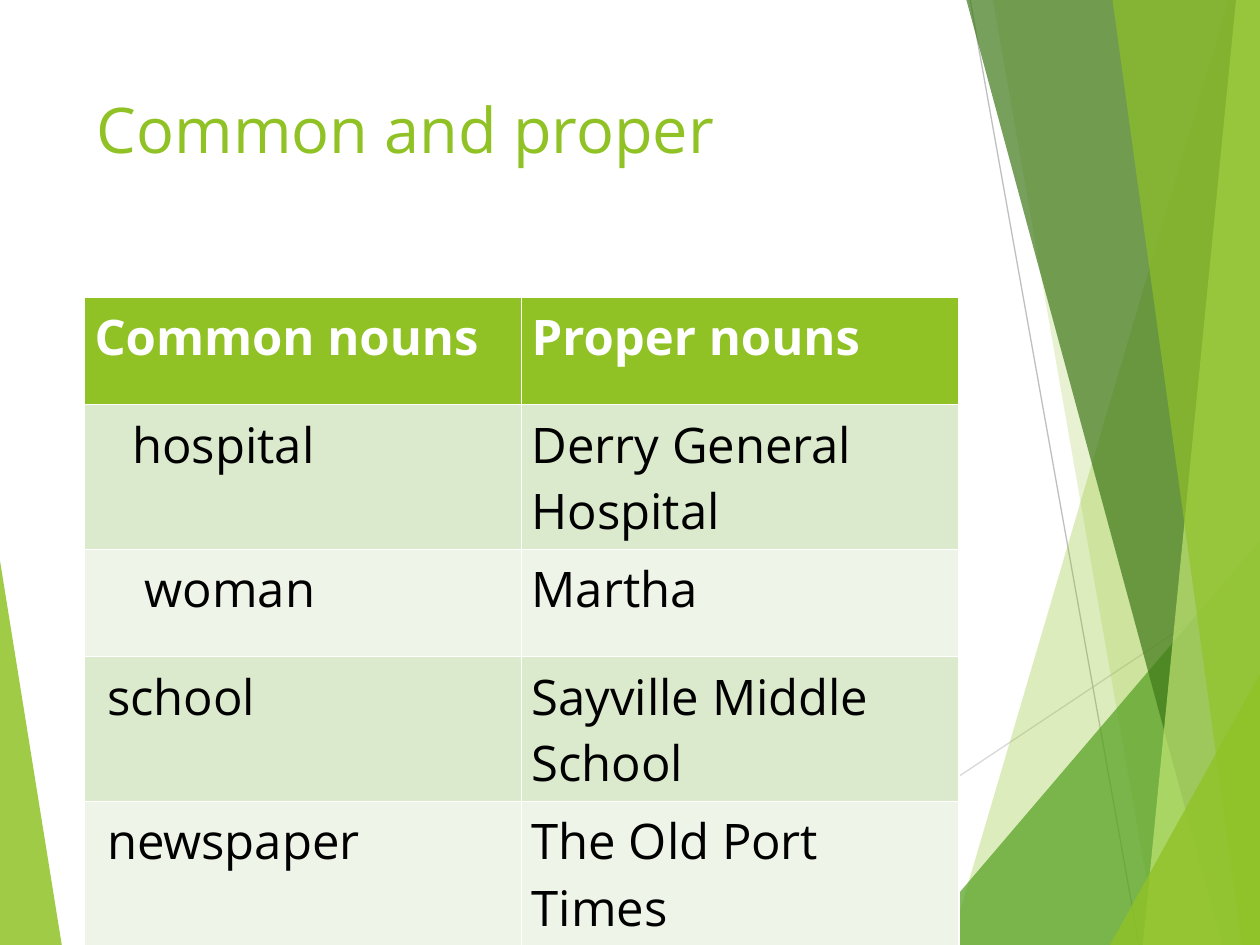
import pptx
import pptx.dml.color
import pptx.enum.shapes
import pptx.enum.text
import pptx.oxml.ns
import pptx.util
from lxml import etree

Inches = pptx.util.Inches
Pt = pptx.util.Pt
RGBColor = pptx.dml.color.RGBColor

LIME = RGBColor(0x90, 0xC2, 0x26)
GREEN = RGBColor(0x54, 0xA0, 0x21)
DARK_GREEN = RGBColor(0x3F, 0x78, 0x19)
PALE_LIME = RGBColor(0xC0, 0xE4, 0x74)
LIGHT_GRAY = RGBColor(0xD9, 0xD9, 0xD9)
GRAY = RGBColor(0xBF, 0xBF, 0xBF)
WHITE = RGBColor(0xFF, 0xFF, 0xFF)
BLACK = RGBColor(0, 0, 0)
ROW_TINTS = (RGBColor(0xDB, 0xE9, 0xCD), RGBColor(0xEE, 0xF4, 0xE8))

TITLE_FONT = {"name": "Open Sans", "size": Pt(36), "bold": False}
HEADER_FONT = {"name": "Open Sans", "size": Pt(28), "bold": True}
BODY_FONT = {**HEADER_FONT, "bold": False}
CELL_MARGINS = {"margin_left": Inches(0.08), "margin_right": Inches(0.08),
                "margin_top": Inches(0.05), "margin_bottom": Inches(0.05)}
TEXT_FRAME = {"word_wrap": True,
              "vertical_anchor": pptx.enum.text.MSO_ANCHOR.TOP}

# Common noun, its indent in inches, proper noun, row height in inches
NOUNS = [
    ("hospital", 0.3, "Derry General Hospital", 1.15),
    ("woman", 0.4, "Martha", 0.85),
    ("school", 0.1, "Sayville Middle School", 1.15),
    ("newspaper", 0.1, "The Old Port Times", 1.15),
]

# Left edge as top x, top y, bottom x; then colour and opacity in percent
RIGHT_FACETS = [
    (4.15, 0, 1.94, LIME, 30),
    (2.28, 0, 3.59, LIME, 20),
    (4.4, 4.29, 1.66, GREEN, 72),
    (2.07, 0, 4.1, DARK_GREEN, 70),
    (4.21, 0, 3.47, PALE_LIME, 70),
    (3.23, 0, 4.26, LIME, 65),
    (4.4, 5.35, 3.21, LIME, 80),
]
RIGHT_LINES = [
    (0, 7.5, 4.4, 4.57, LIGHT_GRAY),
    (2.1, 0, 3.44, 7.5, GRAY),
]


def apply_format(target, values):
    """Set every attribute named in values on the target."""
    for name, value in values.items():
        setattr(target, name, value)


def write_text(paragraph, text, font_format, color):
    """Put one formatted run into a paragraph."""
    run = paragraph.add_run()
    run.text = text
    apply_format(run.font, font_format)
    run.font.color.rgb = color


def add_facet(slide, left, top, points, color, opacity):
    """Draw a translucent polygon with points relative to left and top."""
    corners = [(Inches(left + x), Inches(top + y)) for x, y in points]
    builder = slide.shapes.build_freeform(*corners[0])
    builder.add_line_segments(corners[1:], close=True)
    shape = builder.convert_to_shape()
    shape.shadow.inherit = False
    shape.fill.solid()
    shape.fill.fore_color.rgb = color
    shape.line.fill.background()
    solid_color = shape.fill._xPr.find(".//" + pptx.oxml.ns.qn("a:srgbClr"))
    etree.SubElement(solid_color, pptx.oxml.ns.qn("a:alpha"),
                     val=str(opacity * 1000))


def add_hairline(slide, left, top, line):
    """Draw a thin line relative to left and top."""
    x1, y1, x2, y2, color = line
    connector = slide.shapes.add_connector(
        pptx.enum.shapes.MSO_CONNECTOR.STRAIGHT,
        Inches(left + x1), Inches(top + y1),
        Inches(left + x2), Inches(top + y2))
    connector.line.color.rgb = color
    connector.line.width = Pt(0.75)
    etree.SubElement(connector._element.spPr, pptx.oxml.ns.qn("a:effectLst"))


def add_left_wedge(slide, left, top, width, height):
    """Draw the wedge in the lower left corner."""
    points = [(0, 0), (width, height), (0, height)]
    add_facet(slide, left, top, points, LIME, 85)


def add_right_panel(slide, left, top, width, height):
    """Draw the lines and overlapping facets that meet the right edge."""
    for line in RIGHT_LINES:
        add_hairline(slide, left, top, line)
    for top_x, top_y, bottom_x, color, opacity in RIGHT_FACETS:
        points = [(top_x, top_y), (bottom_x, height), (width, height)]
        if top_x < width:
            points.append((width, top_y))
        add_facet(slide, left, top, points, color, opacity)


def add_title(slide, left, top, width, height):
    """Write the slide title."""
    shape = slide.shapes.add_textbox(
        Inches(left), Inches(top), Inches(width), Inches(height))
    apply_format(shape.text_frame, TEXT_FRAME)
    write_text(shape.text_frame.paragraphs[0], "Common and proper",
               TITLE_FONT, LIME)


def fill_cell(cell, text, fill, font_format, color, indent=0):
    """Write and colour one table cell."""
    apply_format(cell, CELL_MARGINS)
    cell.fill.solid()
    cell.fill.fore_color.rgb = fill
    paragraph = cell.text_frame.paragraphs[0]
    write_text(paragraph, text, font_format, color)
    if indent:
        paragraph._p.get_or_add_pPr().set("marL", str(Inches(indent)))


def add_noun_table(slide, left, top, width, header_height):
    """Build the table that pairs common nouns with proper nouns."""
    height = header_height + sum(row[3] for row in NOUNS)
    table = slide.shapes.add_table(
        len(NOUNS) + 1, 2, Inches(left), Inches(top),
        Inches(width), Inches(height)).table
    for column in table.columns:
        column.width = Inches(width / 2)
    table.rows[0].height = Inches(header_height)
    for index, heading in enumerate(("Common nouns", "Proper nouns")):
        fill_cell(table.cell(0, index), heading, LIME, HEADER_FONT, WHITE)
    for index, (common, indent, proper, row_height) in enumerate(NOUNS, 1):
        table.rows[index].height = Inches(row_height)
        tint = ROW_TINTS[(index - 1) % 2]
        fill_cell(table.cell(index, 0), common, tint, BODY_FONT, BLACK, indent)
        fill_cell(table.cell(index, 1), proper, tint, BODY_FONT, BLACK)


def main():
    """Build and save the presentation."""
    presentation = pptx.Presentation()
    apply_format(presentation, {"slide_width": Inches(10),
                                "slide_height": Inches(7.5)})
    slide = presentation.slides.add_slide(presentation.slide_layouts[6])
    add_left_wedge(slide, 0, 4.45, 0.49, 3.05)
    add_right_panel(slide, 5.6, 0, 4.4, 7.5)
    add_title(slide, 0.67, 0.67, 6.94, 1.44)
    add_noun_table(slide, 0.67, 2.36, 6.94, 0.85)
    presentation.save("out.pptx")


main()
